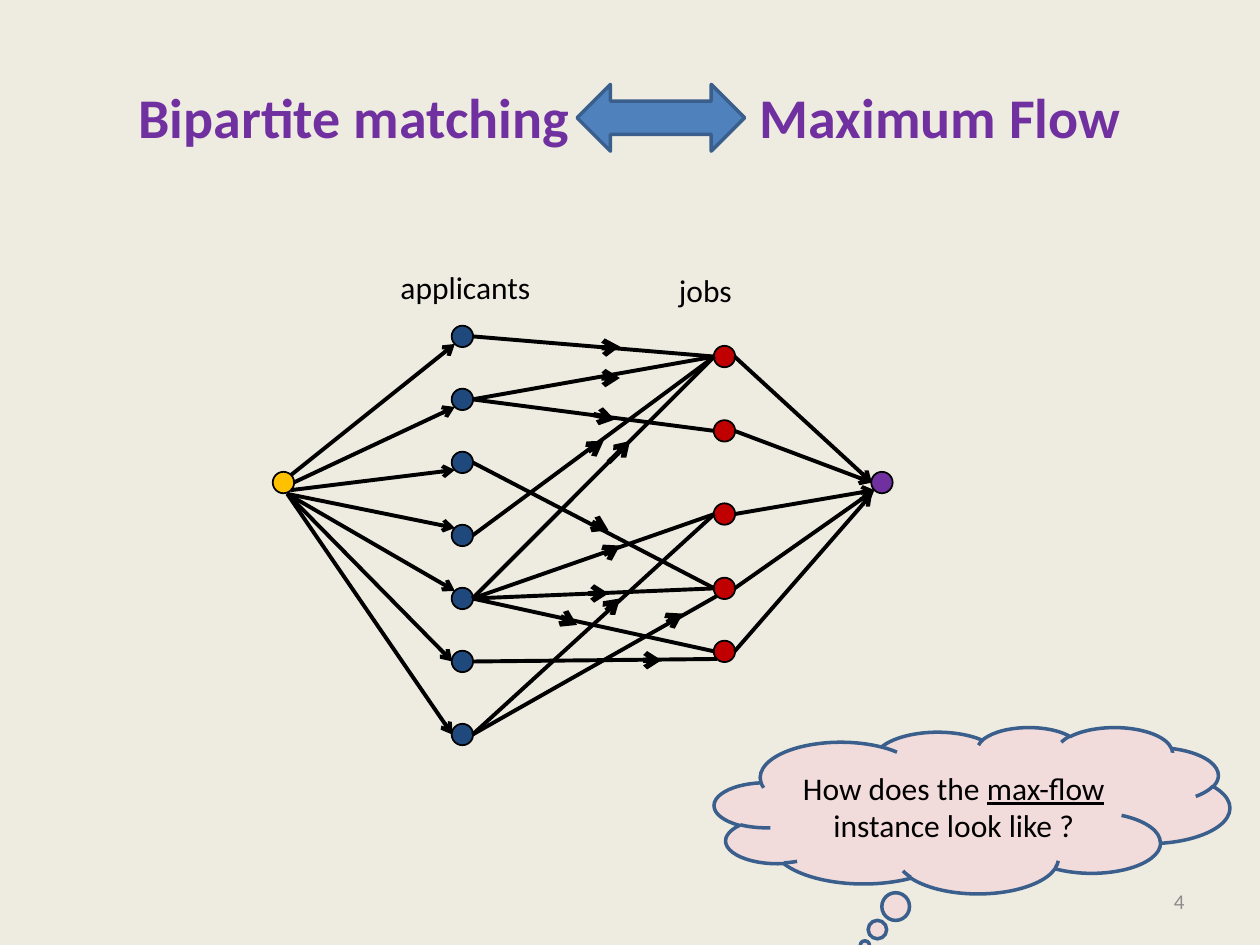
from dataclasses import dataclass

from lxml import etree
from pptx import Presentation
from pptx.dml.color import RGBColor
from pptx.enum import shapes, text
from pptx.oxml import ns
from pptx.util import Inches, Pt

BACKGROUND = RGBColor(0xEE, 0xEC, 0xE1)
PURPLE = RGBColor(0x70, 0x30, 0xA0)
RED = RGBColor(0xC0, 0x00, 0x00)
NAVY = RGBColor(0x1F, 0x49, 0x7D)
GOLD = RGBColor(0xFF, 0xC0, 0x00)
BLUE = RGBColor(0x4F, 0x81, 0xBD)
OUTLINE = RGBColor(0x3A, 0x5F, 0x8C)
PINK = RGBColor(0xF2, 0xDC, 0xDB)
GRAY = RGBColor(0x8C, 0x8C, 0x8C)
BLACK = RGBColor(0, 0, 0)

FONT = "Calibri"
DIAMETER = 0.17
# Offsets from a node's centre to the points where edges attach
SITES = {
    "e": (0.08, 0), "w": (-0.08, 0), "s": (0.03, 0.09),
    "ne": (0.06, -0.06), "se": (0.06, 0.06),
    "nw": (-0.06, -0.06), "sw": (-0.06, 0.06), "corner": (-0.08, 0.09),
}


@dataclass(frozen=True)
class Node:
    x: float
    y: float
    color: RGBColor

    def site(self, name: str) -> tuple[float, float]:
        dx, dy = SITES[name]
        return self.x + dx, self.y + dy


@dataclass(frozen=True)
class Edge:
    start: Node
    end: Node
    start_site: str = "e"
    end_site: str = "w"


SOURCE = Node(2.25, 3.83, GOLD)
SINK = Node(7, 3.83, PURPLE)
APPLICANTS = [Node(3.67, y, NAVY)
              for y in (2.67, 3.17, 3.67, 4.25, 4.75, 5.25, 5.83)]
JOBS = [Node(5.75, y, RED) for y in (2.83, 3.42, 4.08, 4.67, 5.17)]

# Applicant index, job index, site on the job
MATCHES = [
    (0, 0, "w"), (1, 0, "w"), (1, 1, "w"), (2, 3, "w"), (3, 0, "w"),
    (4, 0, "w"), (4, 2, "w"), (4, 3, "w"), (4, 4, "w"), (5, 4, "sw"),
    (6, 2, "w"), (6, 3, "sw"),
]
# Sites on the source and on each applicant, then on the sink for each job
SOURCE_SITES = [("ne", "sw"), ("e", "sw"), ("se", "sw"), ("s", "nw"),
                ("s", "nw"), ("s", "w"), ("s", "w")]
SINK_SITES = ["w", "w", "sw", "sw", "corner"]

# Direction marks along the match edges
MARKS = [
    ((4.75, 4.17), (4.83, 4.21)), ((4.83, 3.67), (5, 3.5)),
    ((4.83, 4.83), (4.92, 4.75)), ((5.12, 5.24), (5.25, 5.24)),
    ((4.83, 4.38), (4.92, 4.33)), ((4.79, 2.76), (4.92, 2.75)),
    ((4.79, 3), (4.92, 3)), ((4.71, 3.29), (4.88, 3.33)),
    ((4.67, 3.58), (4.79, 3.5)), ((4.67, 4.71), (4.83, 4.71)),
    ((5.33, 4.92), (5.42, 4.87)), ((4.5, 4.92), (4.58, 4.96)),
]


def add_run(p, words: str, size: float, color: RGBColor,
            bold: bool = False, underline: bool = False) -> None:
    r = p.add_run()
    r.text = words
    r.font.name, r.font.size = FONT, Pt(size)
    r.font.bold, r.font.underline = bold, underline
    r.font.color.rgb = color


def add_shape(s, kind, x: float, y: float, w: float, h: float,
              fill: RGBColor, line: RGBColor, width: float):
    sp = s.shapes.add_shape(kind, Inches(x), Inches(y), Inches(w), Inches(h))
    sp.shadow.inherit = False
    sp.fill.solid()
    sp.fill.fore_color.rgb = fill
    sp.line.color.rgb = line
    sp.line.width = Pt(width)
    return sp


def add_node(s, node: Node) -> None:
    r = DIAMETER / 2
    add_shape(s, shapes.MSO_SHAPE.OVAL, node.x - r, node.y - r,
              DIAMETER, DIAMETER, node.color, BLACK, 1)


def add_line(s, start: tuple[float, float], end: tuple[float, float],
             width: float = 2.25, arrow: bool = True) -> None:
    line = s.shapes.add_connector(
        shapes.MSO_CONNECTOR.STRAIGHT, *(Inches(v) for v in start + end))
    line.line.color.rgb = BLACK
    line.line.width = Pt(width)
    if arrow:
        etree.SubElement(line.line._get_or_add_ln(), ns.qn("a:tailEnd"),
                         type="arrow")
    etree.SubElement(line._element.spPr, ns.qn("a:effectLst"))


def add_edge(s, edge: Edge, arrow: bool = True) -> None:
    add_line(s, edge.start.site(edge.start_site),
             edge.end.site(edge.end_site), arrow=arrow)


def add_label(s, words: str, x: float, y: float, w: float, size: float = 18,
              color: RGBColor = BLACK, align=text.PP_ALIGN.LEFT) -> None:
    box = s.shapes.add_textbox(Inches(x), Inches(y), Inches(w), Inches(0.4))
    tf = box.text_frame
    tf.word_wrap = False
    tf.vertical_anchor = text.MSO_ANCHOR.MIDDLE
    p = tf.paragraphs[0]
    p.alignment = align
    add_run(p, words, size, color)


def add_title(s) -> None:
    title = s.shapes.title
    title.left, title.top = Inches(0.5), Inches(0.3)
    title.width, title.height = Inches(9), Inches(1.25)
    tf = title.text_frame
    tf.margin_left = Inches(0.6)
    tf.vertical_anchor = text.MSO_ANCHOR.MIDDLE
    p = tf.paragraphs[0]
    p.alignment = text.PP_ALIGN.LEFT
    # A tab stop leaves room for the double arrow
    tabs = etree.SubElement(p._p.get_or_add_pPr(), ns.qn("a:tabLst"))
    etree.SubElement(tabs, ns.qn("a:tab"), pos=str(Inches(4.93)), algn="l")
    add_run(p, "Bipartite matching\tMaximum Flow", 32, PURPLE, bold=True)


def add_question(s) -> None:
    cloud = add_shape(s, shapes.MSO_SHAPE.CLOUD_CALLOUT, 5.67, 5.77, 4.09,
                      1.32, PINK, OUTLINE, 2)
    cloud.adjustments[0], cloud.adjustments[1] = -0.208, 0.813
    tf = cloud.text_frame
    tf.word_wrap = True
    tf.vertical_anchor = text.MSO_ANCHOR.MIDDLE
    p = tf.paragraphs[0]
    p.alignment = text.PP_ALIGN.CENTER
    add_run(p, "How does the ", 18, BLACK)
    add_run(p, "max-flow", 18, BLACK, underline=True)
    add_run(p, " instance look like ?", 18, BLACK)


def main() -> None:
    prs = Presentation()
    prs.slide_width, prs.slide_height = Inches(10), Inches(7.5)
    s = prs.slides.add_slide(prs.slide_layouts[5])
    s.background.fill.solid()
    s.background.fill.fore_color.rgb = BACKGROUND

    # Title and slide number
    add_title(s)
    add_label(s, "4", 7.17, 6.95, 2.33, 12, GRAY, text.PP_ALIGN.RIGHT)

    # Nodes and their headings
    for node in [*JOBS, *APPLICANTS, SINK, SOURCE]:
        add_node(s, node)
    add_label(s, "applicants", 3.08, 2.08, 1.24)
    add_label(s, "jobs", 5.29, 2.1, 0.62)

    # Edges between applicants and jobs, with direction marks
    for a, j, site in MATCHES:
        add_edge(s, Edge(APPLICANTS[a], JOBS[j], end_site=site), arrow=False)
    for start, end in MARKS:
        add_line(s, start, end, width=3)

    # Edges from the source and into the sink
    for node, (out, into) in zip(APPLICANTS, SOURCE_SITES):
        add_edge(s, Edge(SOURCE, node, out, into))
    for node, into in zip(JOBS, SINK_SITES):
        add_edge(s, Edge(node, SINK, end_site=into))

    # Double arrow in the title and the question
    add_shape(s, shapes.MSO_SHAPE.LEFT_RIGHT_ARROW, 4.58, 0.67, 1.33, 0.53,
              BLUE, OUTLINE, 2)
    add_question(s)
    prs.save("out.pptx")


if __name__ == "__main__":
    main()
